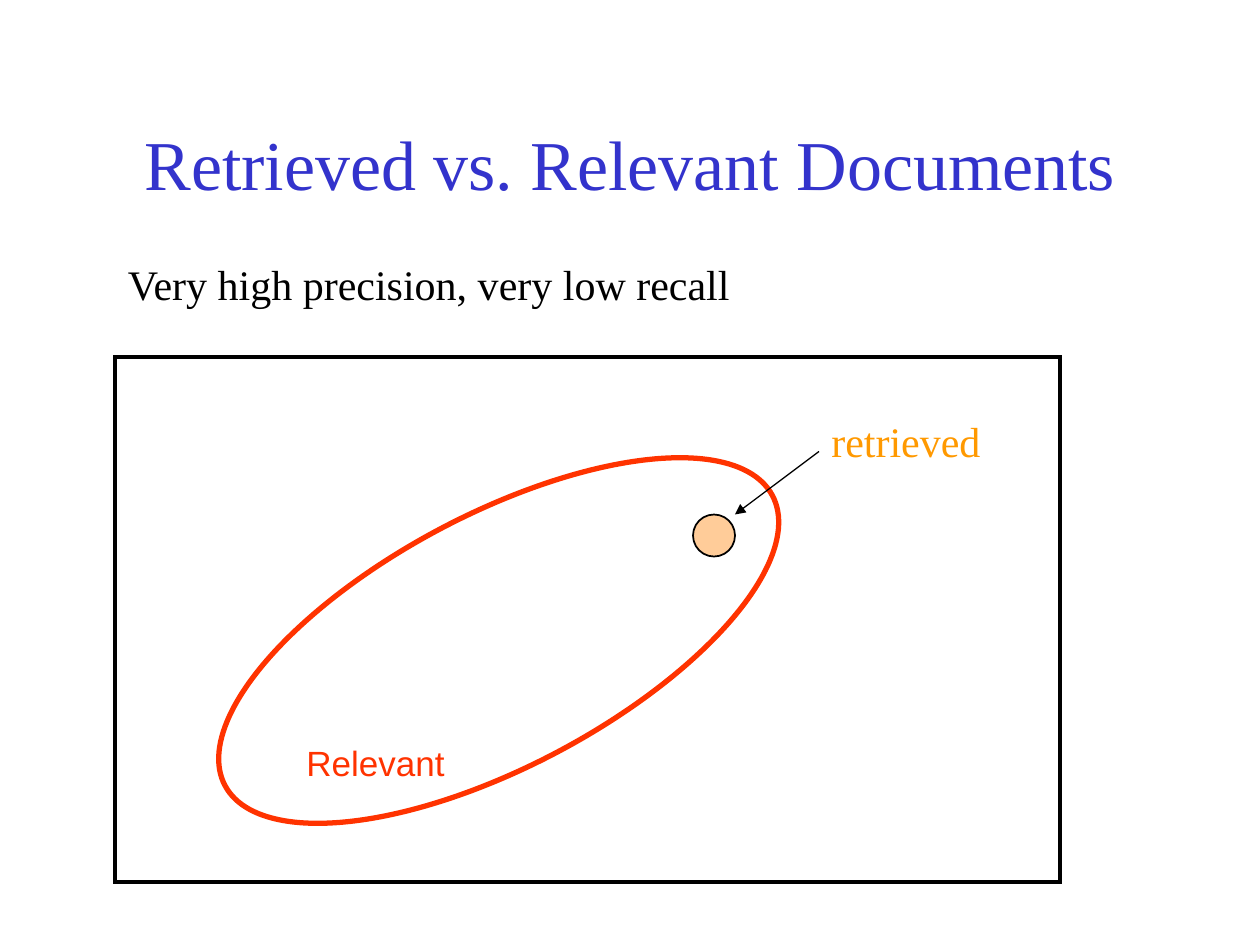
from dataclasses import dataclass

from lxml import etree
from pptx import Presentation
from pptx.dml.color import RGBColor
from pptx.enum.shapes import MSO_CONNECTOR as CONNECTOR, MSO_SHAPE as SHAPE
from pptx.enum.text import MSO_ANCHOR as ANCHOR, MSO_AUTO_SIZE as FIT, PP_ALIGN as ALIGN
from pptx.oxml.ns import qn
from pptx.util import Inches, Pt


@dataclass(frozen=True)
class Theme:
    serif: str = "Times New Roman"
    sans: str = "Arial"
    title_size: int = 40
    text_size: int = 24
    label_size: int = 20
    title: str = "3333CC"
    ink: str = "000000"
    relevant: str = "FF3300"
    retrieved: str = "FF9900"
    retrieved_fill: str = "FFCC99"


THEME = Theme()
WIDTH, HEIGHT = Inches(10), Inches(7.5)
COLUMNS, ROWS = 120, 90


def x(column):
    return round(WIDTH * column / COLUMNS)


def y(row):
    return round(HEIGHT * row / ROWS)


def grid_box(column, row, columns, rows):
    return x(column), y(row), x(columns), y(rows)


def add_text(slide, text, cells, size, color, font=THEME.serif,
             align=ALIGN.LEFT, anchor=ANCHOR.TOP, wrap=False):
    frame = slide.shapes.add_textbox(*grid_box(*cells)).text_frame
    frame.word_wrap = wrap
    frame.auto_size = FIT.NONE if wrap else FIT.SHAPE_TO_FIT_TEXT
    frame.vertical_anchor = anchor
    paragraph = frame.paragraphs[0]
    paragraph.text = text
    paragraph.alignment = align
    paragraph.font.name = font
    paragraph.font.size = Pt(size)
    paragraph.font.color.rgb = RGBColor.from_string(color)


def add_region(slide, kind, cells, color, weight, fill=None, rotation=0):
    region = slide.shapes.add_shape(kind, *grid_box(*cells))
    region.shadow.inherit = False
    region.rotation = rotation
    region.line.color.rgb = RGBColor.from_string(color)
    region.line.width = Pt(weight)
    # Sharp corners
    etree.SubElement(region.line._get_or_add_ln(), qn("a:miter"), lim="800000")
    if fill:
        region.fill.solid()
        region.fill.fore_color.rgb = RGBColor.from_string(fill)
    else:
        region.fill.background()


def add_arrow(slide, start, end, color, weight):
    arrow = slide.shapes.add_connector(
        CONNECTOR.STRAIGHT, x(start[0]), y(start[1]), x(end[0]), y(end[1]))
    arrow.line.color.rgb = RGBColor.from_string(color)
    arrow.line.width = Pt(weight)
    etree.SubElement(arrow.line._get_or_add_ln(), qn("a:tailEnd"), type="triangle")
    etree.SubElement(arrow._element.spPr, qn("a:effectLst"))


def main():
    deck = Presentation()
    deck.slide_width, deck.slide_height = WIDTH, HEIGHT
    slide = deck.slides.add_slide(deck.slide_layouts[6])

    # Title
    add_text(slide, "Retrieved vs. Relevant Documents", (9, 8, 102, 15),
             THEME.title_size, THEME.title,
             align=ALIGN.CENTER, anchor=ANCHOR.MIDDLE, wrap=True)

    # Relevant documents
    add_region(slide, SHAPE.OVAL, (18, 49, 59, 24), THEME.relevant, 3, rotation=332.1)
    add_text(slide, "Relevant", (28, 70, 15.6, 5.25),
             THEME.label_size, THEME.relevant, font=THEME.sans)

    # Retrieved documents
    add_region(slide, SHAPE.OVAL, (66, 49, 4, 4), THEME.ink, 1,
               fill=THEME.retrieved_fill)

    # Statement and the frame of all documents
    add_text(slide, "Very high precision, very low recall", (11, 24, 60.1, 6),
             THEME.text_size, THEME.ink)
    add_region(slide, SHAPE.RECTANGLE, (11, 34, 90, 50), THEME.ink, 2.25)

    # Callout for the retrieved documents
    add_text(slide, "retrieved", (78, 39, 16.6, 6), THEME.text_size, THEME.retrieved)
    add_arrow(slide, (78, 43), (70, 49), THEME.ink, 0.75)

    deck.save("out.pptx")


if __name__ == "__main__":
    main()
